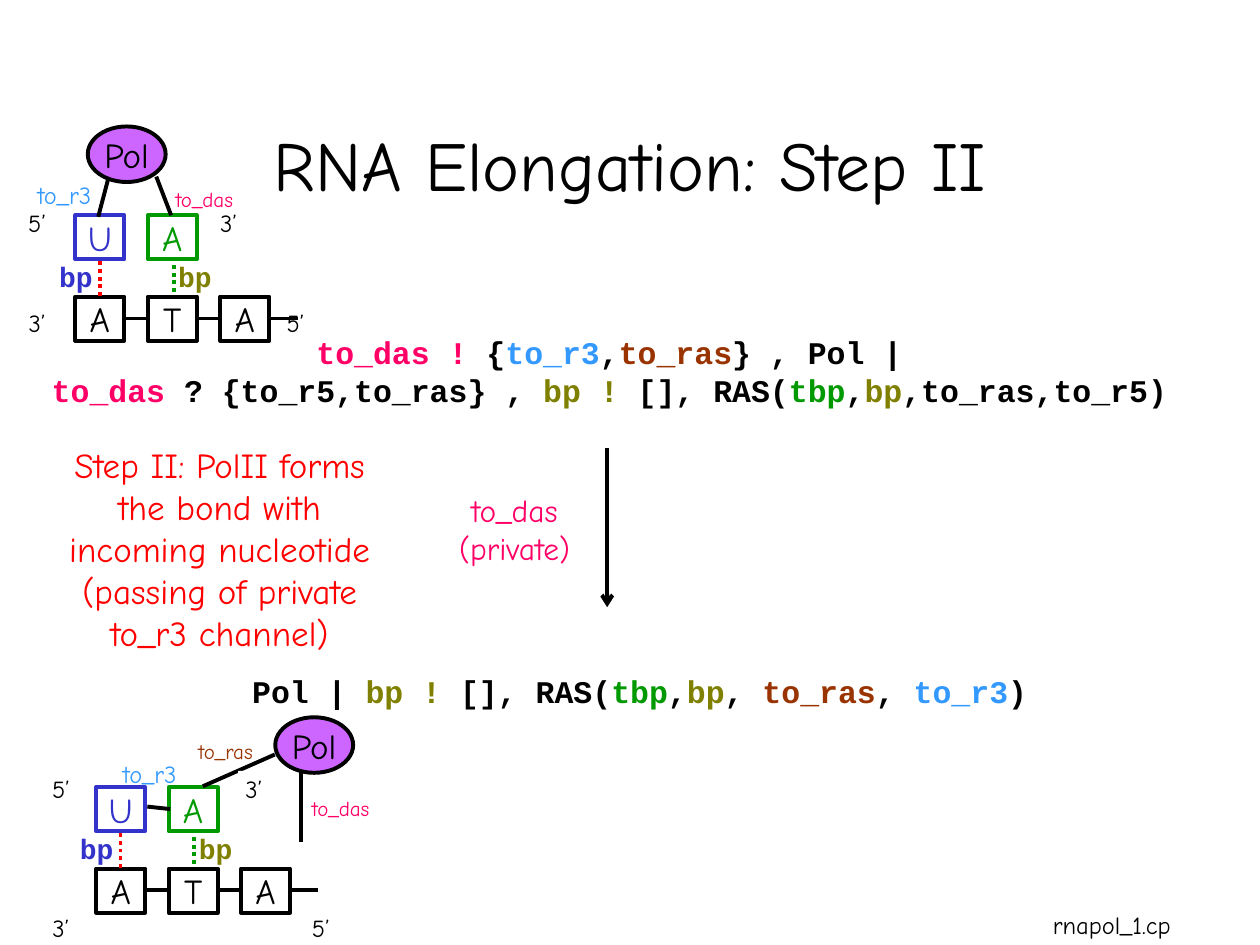
from lxml import etree
from pptx import Presentation
from pptx import util as u
from pptx.dml.color import RGBColor
from pptx.enum import dml, shapes, text
from pptx.oxml import ns

COLORS = {
    "black": "000000", "white": "FFFFFF", "red": "FF0000", "pink": "FF0066",
    "sky": "3399FF", "brown": "993300", "olive": "808000", "green": "009900",
    "blue": "3333CC", "purple": "CC66FF",
}
HAND, CODE = "Comic Neue", "Courier New"


def rgb(color):
    return RGBColor.from_string(COLORS[color])


def write(content, box=None, holder=None, size=14, font=HAND, bold=False, color="black",
          form=None, fill=None, outline=None, wrap=False, grow=False):
    """Put text, or a list of (text, color) runs, in a new shape or in a holder."""
    if holder is None:
        place = [u.Cm(n) for n in box]
        if form is None:
            holder = slide.shapes.add_textbox(*place)
        else:
            holder = slide.shapes.add_shape(form, *place)
            holder.shadow.inherit = False
            if outline:
                holder.line.color.rgb = rgb(outline)
                holder.line.width = u.Pt(2.25)
            else:
                holder.line.fill.background()
        if fill:
            holder.fill.solid()
            holder.fill.fore_color.rgb = rgb(fill)
    frame = holder.text_frame
    frame.word_wrap = wrap
    frame.auto_size = text.MSO_AUTO_SIZE.SHAPE_TO_FIT_TEXT if grow else text.MSO_AUTO_SIZE.NONE
    frame.vertical_anchor = text.MSO_ANCHOR.MIDDLE
    paragraph = frame.paragraphs[0]
    paragraph.alignment = text.PP_ALIGN.CENTER
    for words, run_color in [(content, color)] if isinstance(content, str) else content:
        for i, piece in enumerate(words.split("\n")):
            if i:
                paragraph.add_line_break()
            if not piece:
                continue
            run = paragraph.add_run()
            run.text = piece
            run.font.size, run.font.name, run.font.bold = u.Pt(size), font, bold
            run.font.color.rgb = rgb(run_color)


def draw_line(x1, y1, x2, y2, color="black", dotted=False, arrow=False):
    line = slide.shapes.add_connector(
        shapes.MSO_CONNECTOR.STRAIGHT, u.Cm(x1), u.Cm(y1), u.Cm(x2), u.Cm(y2))
    line.line.color.rgb = rgb(color)
    line.line.width = u.Pt(2.25)
    if dotted:
        line.line.dash_style = dml.MSO_LINE.ROUND_DOT
    if arrow:
        etree.SubElement(line.line._get_or_add_ln(), ns.qn("a:tailEnd"), type="arrow")
    etree.SubElement(line._element.spPr, ns.qn("a:effectLst"))


prs = Presentation()
prs.slide_width, prs.slide_height = u.Cm(25.4), u.Cm(19.05)
slide = prs.slides.add_slide(prs.slide_layouts[5])

# Title
title = slide.shapes.title
title.left, title.top, title.width, title.height = [u.Cm(n) for n in (1.9, 1.7, 21.6, 3.18)]
write("RNA Elongation: Step II", holder=title, size=40, wrap=True)

# Transition between the two states
draw_line(12.24, 9.04, 12.24, 12.24, arrow=True)
write("to_das\n(private)", (8.99, 9.77, 2.77, 1.78), size=18, color="pink", grow=True)
write("Step II: PolII forms the bond with incoming nucleotide "
      "(passing of private to_r3 channel)",
      (0.77, 9.39, 7.32, 3.35), size=20, color="red", wrap=True)
write("rnapol_1.cp", (19.43, 18.24, 5.97, 0.81),
      form=shapes.MSO_SHAPE.RECTANGLE, fill="white")

# Process formulas before and after the step
before = [
    ("to_das !", "pink"), (" {", "black"), ("to_r3", "sky"), (",", "black"),
    ("to_ras", "brown"), ("} , Pol | \n", "black"), ("to_das", "pink"),
    (" ? {to_r5,to_ras} , ", "black"), ("bp !", "olive"), (" [], RAS(", "black"),
    ("tbp", "green"), (",", "black"), ("bp", "olive"), (",to_ras,to_r5) ", "black"),
]
after = [
    ("Pol | ", "black"), ("bp !", "olive"), (" [], RAS(", "black"), ("tbp", "green"),
    (",", "black"), ("bp", "olive"), (", ", "black"), ("to_ras", "brown"),
    (", ", "black"), ("to_r3", "sky"), (") ", "black"),
]

# Each state: formula, first base corner, polymerase, bonds, channel labels, strand ends
states = [
    dict(formula=before, formula_box=(0.79, 6.58, 23.37, 1.78),
         base=(1.52, 4.34), pol=(1.77, 2.55),
         bonds=[(2.18, 3.61, 1.98, 4.37), (3.15, 3.56, 3.45, 4.34)],
         channels=[("to_das", 12, "pink", 3.28, 3.63), ("to_r3", 14, "sky", 0.46, 3.55)],
         ends=[("5’", 0.43, 4.14, None), ("3’", 4.29, 4.14, None),
               ("5’", 5.64, 6.15, None), ("3’", 0.43, 6.15, None)]),
    dict(formula=after, formula_box=(4.83, 13.41, 16.51, 1.02),
         base=(1.94, 15.87), pol=(5.55, 14.46),
         bonds=[(2.97, 16.26, 3.43, 16.31), (5.54, 15.21, 4.09, 15.85),
                (6.07, 15.57, 6.07, 16.97)],
         channels=[("to_das", 12, "pink", 6.03, 15.9), ("to_r3", 14, "sky", 2.18, 15.21),
                   ("to_ras", 12, "brown", 3.71, 14.76)],
         ends=[("5’", 0.91, 15.54, "white"), ("3’", 4.8, 15.54, "white"),
               ("5’", 6.15, 18.34, "white"), ("3’", 0.91, 18.34, None)]),
]
PITCH, ROW = 1.46, 1.64
bases = [("A", 0, ROW, "black"), ("T", PITCH, ROW, "black"), ("A", 2 * PITCH, ROW, "black"),
         ("U", 0, 0, "blue"), ("A", PITCH, 0, "green")]

for state in states:
    x, y = state["base"]
    write(state["formula"], state["formula_box"], size=18, font=CODE, bold=True, grow=True)

    # Template backbone, bases and base pairing
    draw_line(x + 0.99, y + 2.08, x + 4.48, y + 2.08)
    for letter, dx, dy, color in bases:
        write(letter, (x + dx, y + dy, 0.99, 0.89), size=20, color=color,
              form=shapes.MSO_SHAPE.RECTANGLE, fill="white", outline=color)
    draw_line(x + 0.49, y + 0.92, x + 0.49, y + 1.65, "red", dotted=True)
    draw_line(x + 1.98, y + 0.84, x + 1.98, y + 1.58, "green", dotted=True)
    for dx, color in ((1.71, "olive"), (-0.69, "blue")):
        write("bp", (x + dx, y + 0.77, 1.4, 0.94), size=16, font=CODE, bold=True,
              color=color)

    # Polymerase with its bonds and channels
    write("Pol", (*state["pol"], 1.57, 1.12), size=20, form=shapes.MSO_SHAPE.OVAL,
          fill="purple", outline="black")
    for bond in state["bonds"]:
        draw_line(*bond)
    for name, size, color, left, top in state["channels"]:
        write(name, (left, top, 1.68, 0.77), size=size, color=color, grow=size == 12)

    # Strand ends
    for end, left, top, fill in state["ends"]:
        write(end, (left, top, 0.64, 0.71), fill=fill,
              form=shapes.MSO_SHAPE.RECTANGLE if fill else None)

prs.save("out.pptx")
